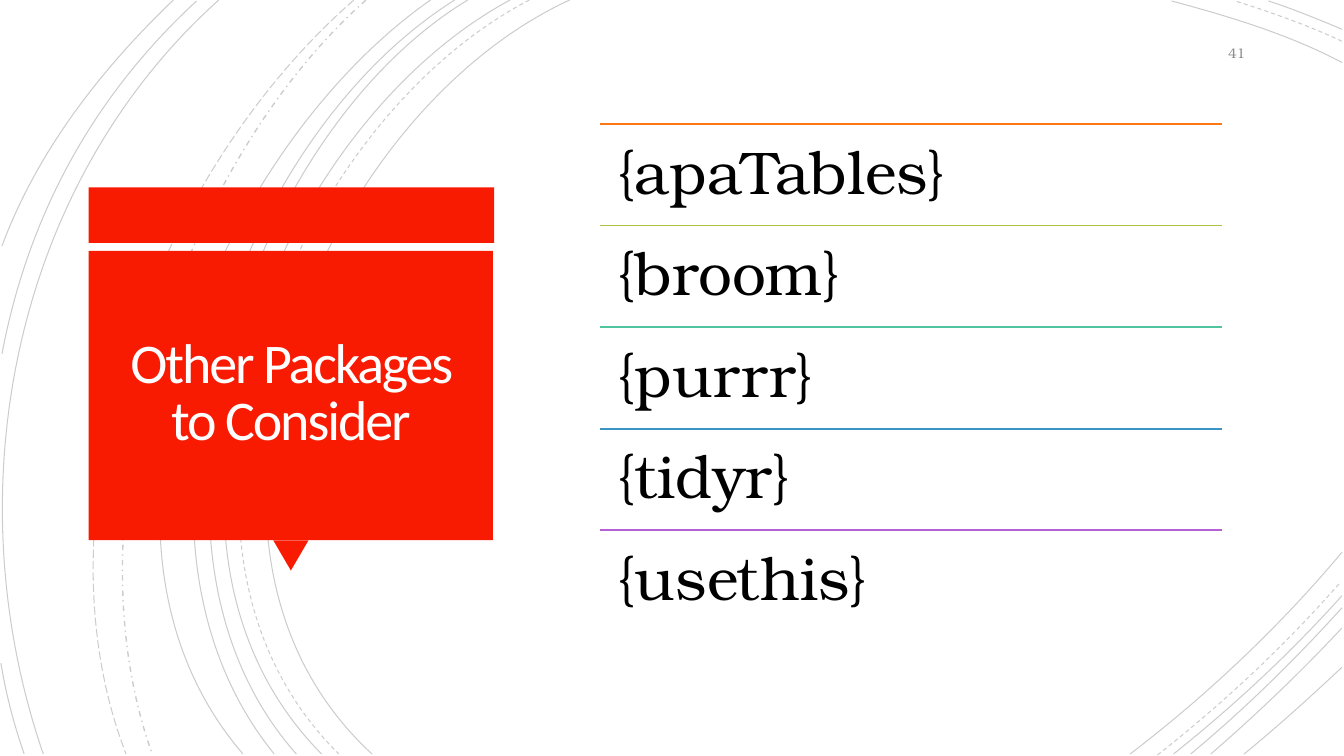
import pptx
import pptx.util
import pptx.dml.color
import pptx.enum.dml
import pptx.enum.shapes
import pptx.enum.text
import pptx.oxml.xmlchemy

Inches = pptx.util.Inches
Pt = pptx.util.Pt
RGBColor = pptx.dml.color.RGBColor
DASHES = pptx.enum.dml.MSO_LINE
SHAPES = pptx.enum.shapes.MSO_SHAPE
ALIGN = pptx.enum.text.PP_ALIGN
ANCHOR = pptx.enum.text.MSO_ANCHOR

RED = RGBColor(0xF8, 0x1B, 0x02)
BLACK = RGBColor(0x00, 0x00, 0x00)
TITLE_WHITE = RGBColor(0xFF, 0xFE, 0xFF)
NUMBER_GREY = RGBColor(0x8C, 0x8C, 0x8C)
ORANGE = RGBColor(0xFC, 0x77, 0x15)
OLIVE = RGBColor(0xAF, 0xBF, 0x41)
GREEN = RGBColor(0x50, 0xC4, 0x9F)
BLUE = RGBColor(0x3B, 0x95, 0xC4)
PURPLE = RGBColor(0xB5, 0x60, 0xD4)

TITLE = "Other Packages to Consider"
SLIDE_NUMBER = "41"
HEADING_FONT = "Calibri"
BODY_FONT = "TeX Gyre Bonum"

PACKAGES = [
    ("{apaTables}", ORANGE),
    ("{broom}", OLIVE),
    ("{purrr}", GREEN),
    ("{tidyr}", BLUE),
    ("{usethis}", PURPLE),
]
LIST_LEFT, LIST_TOP, LIST_WIDTH = 5.95, 1.23, 6.17
LAST_ROW_TOP = 5.26

BANNER_PARTS = [
    (SHAPES.RECTANGLE, 0.88, 1.86, 4.02, 0.55, 0),
    (SHAPES.ISOSCELES_TRIANGLE, 2.71, 5.36, 0.35, 0.3, 180),
    (SHAPES.RECTANGLE, 0.88, 2.49, 4.01, 2.87, 0),
]

ARCS = {
    (DASHES.SOLID, 0.75): [
        [(5.65, 0), (3.15, 1.15), (1.43, 5.4), (3.69, 7.48)],
        [(13.31, 0.62), (12.78, 0.34), (12.18, 0.16), (11.62, 0.01)],
        [(11.21, 7.48), (11.97, 6.9), (12.69, 6.22), (13.31, 5.48)],
        [(5.06, 0), (2.7, 1.27), (1.1, 5.37), (3.19, 7.48)],
        [(13.31, 0.29), (13.07, 0.19), (12.83, 0.09), (12.58, 0.01)],
        [(11.64, 7.48), (12.23, 7.01), (12.8, 6.48), (13.31, 5.91)],
        [(4.64, 0), (2.44, 1.33), (1.1, 5.41), (2.94, 7.48)],
        [(11.81, 7.48), (12.34, 7.04), (12.84, 6.55), (13.31, 6.03)],
        [(4.51, 0), (2.31, 1.38), (0.97, 5.33), (2.72, 7.48)],
        [(12.01, 7.48), (12.46, 7.09), (12.9, 6.67), (13.31, 6.23)],
        [(4.27, 0), (2.17, 1.47), (0.53, 5.29), (2.41, 7.48)],
        [(12.34, 7.48), (12.67, 7.21), (12.99, 6.92), (13.31, 6.62)],
        [(2.17, 0), (0.11, 1.85), (-0.46, 4.9), (0.43, 7.48)],
        [(1.95, 0.01), (0.92, 0.96), (0.28, 2.14), (0.02, 3.51)],
        [(0.01, 6.58), (0.06, 6.89), (0.14, 7.19), (0.24, 7.48)],
        [(1.72, 0), (1, 0.69), (0.37, 1.5), (0.02, 2.44)],
    ],
    (DASHES.DASH, 0.75): [
        [(5.25, 0), (2.85, 1.25), (1.23, 5.37), (3.36, 7.48)],
        [(13.31, 0.41), (12.97, 0.25), (12.6, 0.12), (12.25, 0.01)],
        [(11.48, 7.49), (12.13, 6.98), (12.75, 6.4), (13.3, 5.77)],
    ],
    (DASHES.DASH_DOT, 1): [
        [(3.63, 0), (1.76, 1.66), (0.65, 5.09), (1.51, 7.48)],
    ],
    (DASHES.LONG_DASH, 0.75): [
        [(3.51, 0), (1.57, 1.69), (0.29, 4.99), (1.25, 7.48)],
    ],
}


def add_child(parent, tag, **attributes):
    child = pptx.oxml.xmlchemy.OxmlElement(tag)
    for key, value in attributes.items():
        child.set(key, value)
    parent.append(child)
    return child


def add_arc(slide, points, dash, width):
    start, *rest = [(Inches(x), Inches(y)) for x, y in points]
    builder = slide.shapes.build_freeform(*start, scale=1.0)
    builder.add_line_segments(rest, close=False)
    arc = builder.convert_to_shape()
    arc.shadow.inherit = False
    arc.fill.background()
    arc.line.width = Pt(width)
    arc.line.color.rgb = BLACK
    arc.line.dash_style = dash
    ink = arc._element.xpath("./p:spPr/a:ln/a:solidFill/a:srgbClr")[0]
    add_child(ink, "a:alpha", val="20000")
    outline = arc._element.xpath(".//a:path")[0]
    segments = outline.xpath("./a:lnTo")
    curve = add_child(outline, "a:cubicBezTo")
    for segment in segments:
        curve.append(segment[0])
        outline.remove(segment)


def add_banner_part(slide, kind, left, top, width, height, rotation):
    part = slide.shapes.add_shape(
        kind, Inches(left), Inches(top), Inches(width), Inches(height))
    part.rotation = rotation
    part.shadow.inherit = False
    part.fill.solid()
    part.fill.fore_color.rgb = RED
    part.line.fill.background()


def add_rule(slide, top, color):
    rule = slide.shapes.add_connector(
        pptx.enum.shapes.MSO_CONNECTOR.STRAIGHT,
        Inches(LIST_LEFT), Inches(top),
        Inches(LIST_LEFT + LIST_WIDTH), Inches(top))
    rule.line.color.rgb = color
    rule.line.width = Pt(1.25)
    add_child(rule._element.spPr, "a:effectLst")


def add_text(slide, text, box, font, size, color, align=ALIGN.LEFT,
             anchor=ANCHOR.TOP, margins=(0.1, 0.05), spacing=1.0):
    holder = slide.shapes.add_textbox(*[Inches(length) for length in box])
    frame = holder.text_frame
    frame.word_wrap = True
    frame.vertical_anchor = anchor
    frame.margin_left = frame.margin_right = Inches(margins[0])
    frame.margin_top = frame.margin_bottom = Inches(margins[1])
    paragraph = frame.paragraphs[0]
    paragraph.text = text
    paragraph.alignment = align
    paragraph.line_spacing = spacing
    paragraph.font.name = font
    paragraph.font.size = Pt(size)
    paragraph.font.color.rgb = color
    return paragraph


def main():
    deck = pptx.Presentation()
    deck.slide_width = Inches(13.33)
    deck.slide_height = Inches(7.5)
    slide = deck.slides.add_slide(deck.slide_layouts[6])

    for (dash, width), arcs in ARCS.items():
        for points in arcs:
            add_arc(slide, points, dash, width)
    for part in BANNER_PARTS:
        add_banner_part(slide, *part)

    title = add_text(slide, TITLE, (0.97, 2.57, 3.83, 2.69), HEADING_FONT, 40,
                     TITLE_WHITE, ALIGN.CENTER, ANCHOR.MIDDLE, (0.25, 0.25), 0.85)
    title.runs[0].font._element.set("spc", "-150")

    row_height = (LAST_ROW_TOP - LIST_TOP) / (len(PACKAGES) - 1)
    for row, (package, color) in enumerate(PACKAGES):
        top = LIST_TOP + row * row_height
        add_rule(slide, top, color)
        add_text(slide, package, (LIST_LEFT, top, LIST_WIDTH, row_height),
                 BODY_FONT, 43, BLACK, margins=(0.18, 0.18), spacing=0.9)

    add_text(slide, SLIDE_NUMBER, (11.45, 0.35, 1, 0.35), BODY_FONT, 10,
             NUMBER_GREY, ALIGN.RIGHT, ANCHOR.MIDDLE)
    deck.save("out.pptx")


if __name__ == "__main__":
    main()
